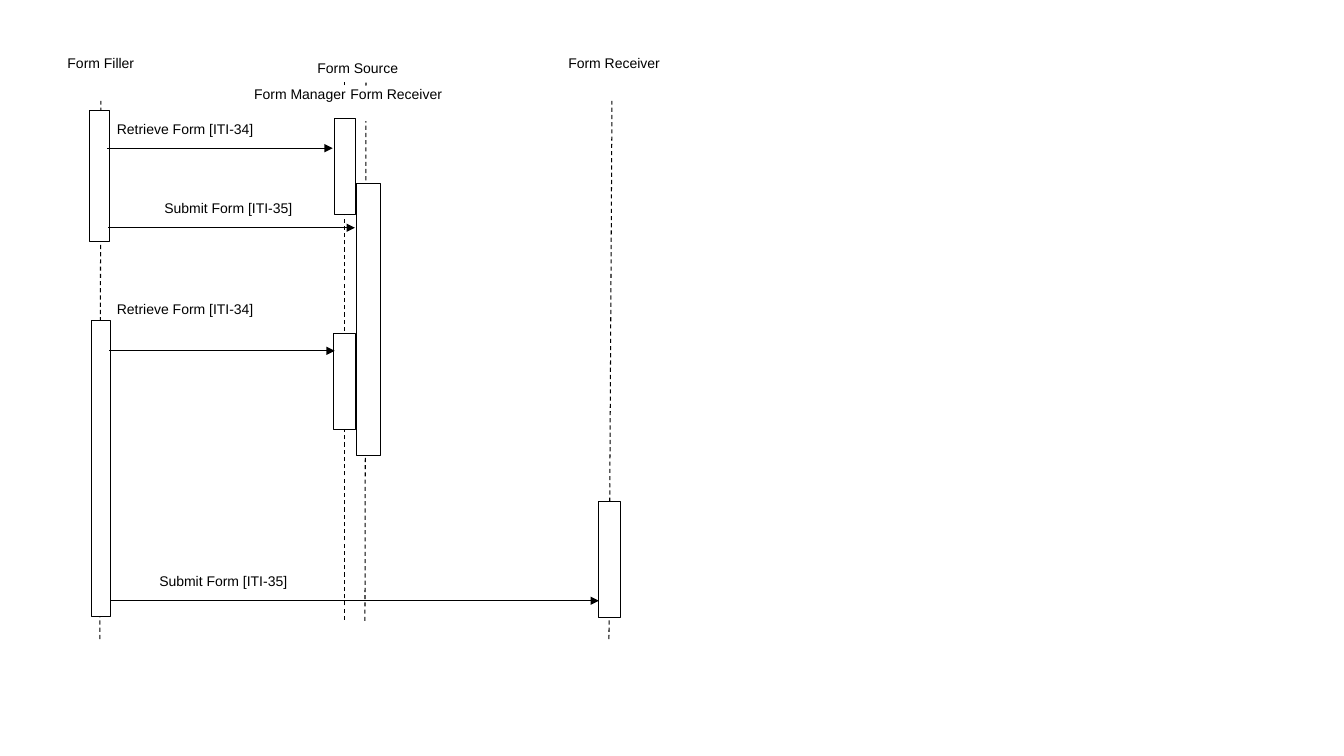
import pptx
import pptx.dml.color
import pptx.enum.dml
import pptx.enum.shapes
import pptx.enum.text
import pptx.oxml
import pptx.oxml.ns
import pptx.util

COLORS = {"ink": "000000", "paper": "FFFFFF"}
EMU_PER_PX = 9144


def px(length):
    return pptx.util.Emu(length * EMU_PER_PX)


def color(name):
    return pptx.dml.color.RGBColor.from_string(COLORS[name])


class SequenceDiagram:
    font_name = "Arial"
    font_size = pptx.util.Pt(10)
    line_width = pptx.util.Pt(0.75)

    def __init__(self, slide):
        self.slide = slide

    def style_line(self, line):
        line.color.rgb = color("ink")
        line.width = self.line_width

    def set_text(self, shape, text, centered=False):
        shape.text_frame.text = text
        paragraph = shape.text_frame.paragraphs[0]
        align = pptx.enum.text.PP_ALIGN
        paragraph.alignment = align.CENTER if centered else align.LEFT
        font = paragraph.runs[0].font
        font.name = self.font_name
        font.size = self.font_size
        font.color.rgb = color("ink")

    def box(self, left, top, width, height):
        shape = self.slide.shapes.add_shape(
            pptx.enum.shapes.MSO_SHAPE.RECTANGLE,
            px(left), px(top), px(width), px(height))
        shape.shadow.inherit = False
        shape.fill.solid()
        shape.fill.fore_color.rgb = color("paper")
        return shape

    def activation(self, left, top, width, height):
        self.style_line(self.box(left, top, width, height).line)

    def label(self, text, left, top, width, height, centered=False):
        shape = self.box(left, top, width, height)
        shape.line.fill.background()
        frame = shape.text_frame
        frame.margin_left = frame.margin_top = 0
        frame.margin_right = frame.margin_bottom = 0
        frame.vertical_anchor = pptx.enum.text.MSO_ANCHOR.TOP
        self.set_text(shape, text, centered)

    def caption(self, text, left, top, width, height):
        shape = self.slide.shapes.add_textbox(
            px(left), px(top), px(width), px(height))
        shape.text_frame.word_wrap = True
        self.set_text(shape, text)

    def connector(self, start_x, start_y, end_x, end_y):
        connector = self.slide.shapes.add_connector(
            pptx.enum.shapes.MSO_CONNECTOR.STRAIGHT,
            px(start_x), px(start_y), px(end_x), px(end_y))
        self.style_line(connector.line)
        properties = connector._element.spPr
        properties.append(pptx.oxml.parse_xml(
            f"<a:effectLst {pptx.oxml.ns.nsdecls('a')}/>"))
        return connector

    def lifeline(self, bottom_x, bottom, top_x, top):
        line = self.connector(bottom_x, bottom, top_x, top).line
        line.dash_style = pptx.enum.dml.MSO_LINE.DASH

    def message(self, receiver_x, sender_x, y):
        connector = self.connector(receiver_x, y, sender_x, y)
        connector.line._get_or_add_ln().append(pptx.oxml.parse_xml(
            f"<a:headEnd {pptx.oxml.ns.nsdecls('a')} type='triangle'/>"))


def main():
    presentation = pptx.Presentation()
    presentation.slide_width = px(1333)
    presentation.slide_height = px(750)
    slide = presentation.slides.add_slide(presentation.slide_layouts[6])
    diagram = SequenceDiagram(slide)

    for ends in [(362, 616, 363, 82), (342, 615, 342, 81),
                 (99, 634, 100, 100), (604, 634, 607, 100)]:
        diagram.lifeline(*ends)

    for actor, left, top, width in [
            ("Form Filler", 48, 54, 104), ("Form Receiver", 559, 54, 100),
            ("Form Manager", 246, 85, 103), ("Form Receiver", 343, 85, 100)]:
        diagram.label(actor, left, top, width, 35, centered=True)
    diagram.caption("Form Source", 305, 54, 100, 32)

    for transaction, left, top, width, height in [
            ("Retrieve Form [ITI-34]", 116, 120, 193, 27),
            ("Submit Form [ITI-35]", 163, 198, 135, 24),
            ("Retrieve Form [ITI-34]", 116, 298, 193, 40),
            ("Submit Form [ITI-35]", 158, 568, 130, 24)]:
        diagram.label(transaction, left, top, width, height)

    diagram.message(594, 101, 596)
    for bounds in [(89, 110, 20, 130), (91, 318, 19, 294),
                   (332, 118, 21, 95), (331, 331, 22, 95),
                   (354, 182, 23, 270), (594, 498, 21, 115)]:
        diagram.activation(*bounds)
    for ends in [(330, 106, 147), (352, 107, 226), (332, 108, 348)]:
        diagram.message(*ends)

    presentation.save("out.pptx")


if __name__ == "__main__":
    main()
